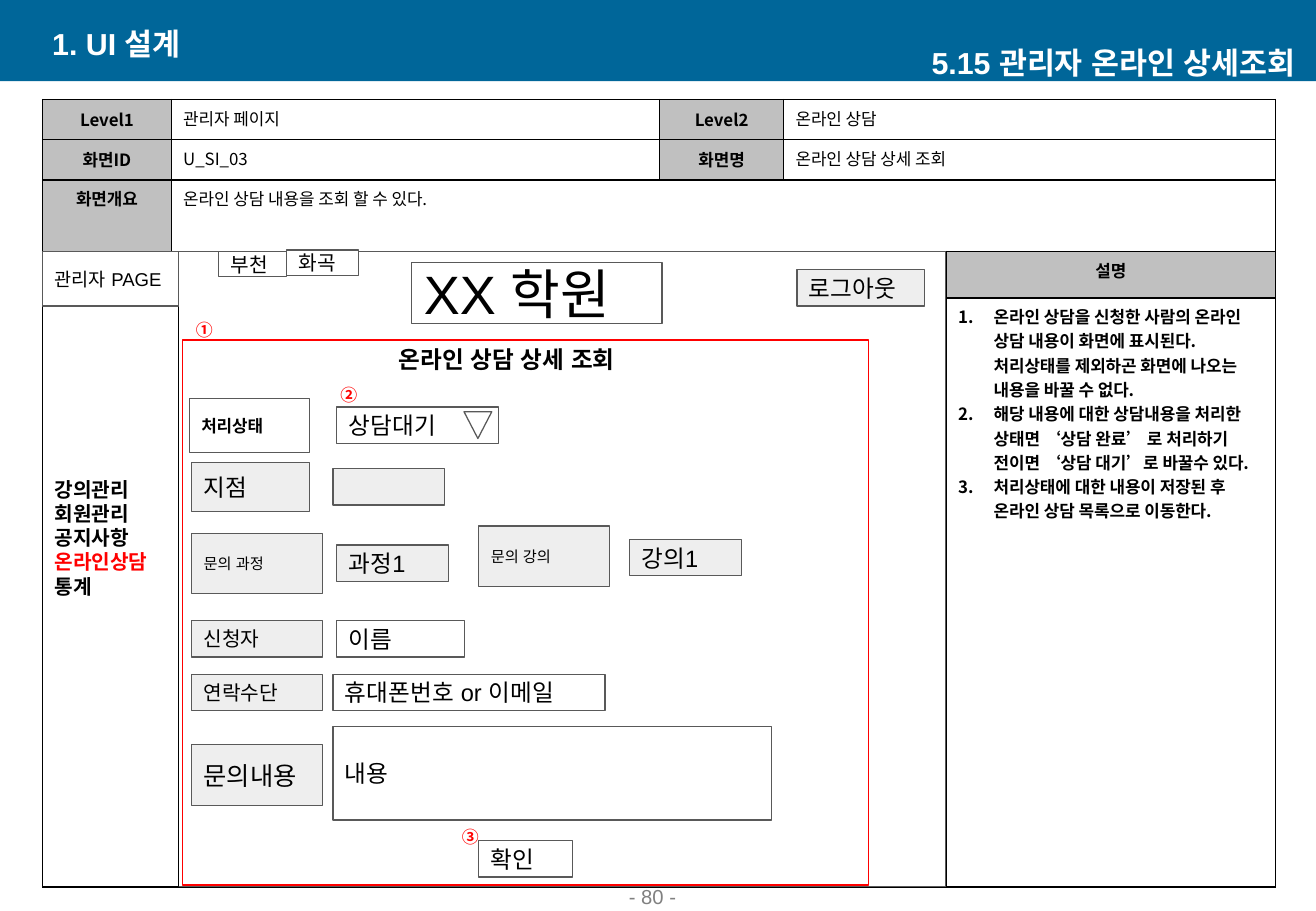
import pptx
import pptx.util
import pptx.dml.color
import pptx.enum.shapes
import pptx.enum.text
import pptx.oxml
import pptx.oxml.ns
from lxml import etree

Cm, Pt = pptx.util.Cm, pptx.util.Pt
RGB = pptx.dml.color.RGBColor.from_string
SHAPE = pptx.enum.shapes.MSO_SHAPE
ALIGN = pptx.enum.text.PP_ALIGN
ANCHOR = pptx.enum.text.MSO_ANCHOR
qn = pptx.oxml.ns.qn

COLORS = {
    "banner": "006699", "white": "FFFFFF", "black": "000000", "red": "FF0000",
    "label": "C0C0C0", "field": "EEEEEE", "outline": "595959", "page": "808080",
}
SANS, KOREAN = "Arial", "Noto Sans CJK KR"


def style_text(frame, size, font=SANS, color="black", bold=False,
               align=ALIGN.LEFT, anchor=ANCHOR.MIDDLE, inset=0.25):
    frame.word_wrap = True
    frame.vertical_anchor = anchor
    frame.margin_left = frame.margin_right = Cm(0.25)
    frame.margin_top = frame.margin_bottom = Cm(inset)
    for paragraph in frame.paragraphs:
        paragraph.alignment = align
        for run in paragraph.runs:
            run.font.size = Pt(size)
            run.font.bold = bold
            run.font.color.rgb = RGB(COLORS[color])
            run.font.name = font
            etree.SubElement(run.font._element, qn("a:ea"), typeface=font)


def add_box(left, top, width, height, fill="white", line="outline", kind=SHAPE.RECTANGLE):
    box = slide.shapes.add_shape(kind, Cm(left), Cm(top), Cm(width), Cm(height))
    box.shadow.inherit = False
    if fill:
        box.fill.solid()
        box.fill.fore_color.rgb = RGB(COLORS[fill])
    else:
        box.fill.background()
    if line:
        box.line.color.rgb = RGB(COLORS[line])
        box.line.width = Pt(0.75)
    else:
        box.line.fill.background()
    return box


deck = pptx.Presentation()
deck.slide_width, deck.slide_height = Cm(27.51), Cm(19.05)
slide = deck.slides.add_slide(deck.slide_layouts[1])
title, menu = slide.placeholders[0], slide.placeholders[1]

add_box(0, 0, 27.51, 1.7, "banner", None)

slide.shapes.element.append(title.element)
title.left, title.top, title.width, title.height = Cm(0.84), Cm(0.48), Cm(11.13), Cm(0.84)
title.text_frame.text = "1. UI 설계"
title.text_frame.auto_size = pptx.enum.text.MSO_AUTO_SIZE.NONE
style_text(title.text_frame, 18, color="white", bold=True, inset=0.13)

captions = [
    ("5.15 관리자 온라인 상세조회", 16.38, 0.89, 10.95, 0.84,
     dict(size=18, color="white", bold=True, align=ALIGN.RIGHT)),
    ("- 80 -", 10.77, 18.54, 5.74, 0.58,
     dict(size=12, color="page", align=ALIGN.CENTER, anchor=ANCHOR.BOTTOM)),
]
marker = dict(size=10, font=KOREAN, color="red", bold=True, align=ALIGN.CENTER, anchor=ANCHOR.TOP)
form_captions = [
    ("온라인 상담 상세 조회", 8.08, 6.96, 5.89, 1.12,
     dict(size=14, bold=True, anchor=ANCHOR.TOP, inset=0.25)),
    ("①", 3.84, 6.55, 0.86, 0.69, marker),
    ("②", 6.86, 7.92, 0.86, 0.69, marker),
    ("③", 9.4, 17.15, 0.86, 0.69, marker),
]

columns = [2.69, 10.21, 2.59, 3.4, 6.88]
rows = [0.84, 0.84, 1.5, 0.97, 12.32]
sheet = slide.shapes.add_table(5, 5, Cm(0.89), Cm(2.08), Cm(sum(columns)), Cm(sum(rows))).table
sheet.first_row = sheet.horz_banding = False
for column, width in zip(sheet.columns, columns):
    column.width = Cm(width)
for row, height in zip(sheet.rows, rows):
    row.height = Cm(height)
for top, left, bottom, right in [(0, 3, 0, 4), (1, 3, 1, 4), (2, 1, 2, 4), (3, 0, 4, 3)]:
    sheet.cell(top, left).merge(sheet.cell(bottom, right))

labels = {(0, 0): "Level1", (0, 2): "Level2", (1, 0): "화면ID", (1, 2): "화면명",
          (2, 0): "화면개요", (3, 4): "설명"}
values = {(0, 1): "관리자 페이지", (0, 3): "온라인 상담", (1, 1): "U_SI_03",
          (1, 3): "온라인 상담 상세 조회", (2, 1): "온라인 상담 내용을 조회 할 수 있다."}
descriptions = [
    "온라인 상담을 신청한 사람의 온라인 상담 내용이 화면에 표시된다. 처리상태를 제외하곤 화면에 나오는 내용을 바꿀 수 없다.",
    "해당 내용에 대한 상담내용을 처리한 상태면 ‘상담 완료’ 로 처리하기 전이면 ‘상담 대기’로 바꿀수 있다.",
    "처리상태에 대한 내용이 저장된 후 온라인 상담 목록으로 이동한다.",
]
for r in range(5):
    for c in range(5):
        cell = sheet.cell(r, c)
        properties = cell._tc.get_or_add_tcPr()
        for side in ("a:lnL", "a:lnR", "a:lnT", "a:lnB"):
            border = etree.SubElement(properties, qn(side), w=str(Pt(1)))
            ink = etree.SubElement(border, qn("a:solidFill"))
            etree.SubElement(ink, qn("a:srgbClr"), val=COLORS["black"])
        if (r, c) in labels:
            cell.text_frame.text = labels[r, c]
            cell.fill.solid()
            cell.fill.fore_color.rgb = RGB(COLORS["label"])
            style_text(cell.text_frame, 10, KOREAN, bold=True, align=ALIGN.CENTER)
            cell.vertical_anchor = ANCHOR.MIDDLE if r < 2 else ANCHOR.TOP
        else:
            cell.fill.background()
            cell.text_frame.text = values.get((r, c), "")
            style_text(cell.text_frame, 10, KOREAN, anchor=ANCHOR.TOP)
        cell.margin_left = cell.margin_right = Cm(0.25)
        cell.margin_top = cell.margin_bottom = Cm(0.13)

notes = sheet.cell(4, 4).text_frame
notes.text = "\n".join(descriptions)
for paragraph in notes.paragraphs:
    settings = paragraph._p.get_or_add_pPr()
    settings.set("marL", str(Cm(0.74)))
    settings.set("indent", str(-Cm(0.74)))
    etree.SubElement(settings, qn("a:buFont"), typeface=KOREAN)
    etree.SubElement(settings, qn("a:buAutoNum"), type="arabicPeriod")
style_text(notes, 10, KOREAN, bold=True, anchor=ANCHOR.TOP, inset=0.13)

add_box(0.94, 5.26, 18.82, 13.28)

slide.shapes.element.append(menu.element)
menu.left, menu.top, menu.width, menu.height = Cm(0.89), Cm(5.26), Cm(2.84), Cm(13.28)
menu.fill.solid()
menu.fill.fore_color.rgb = RGB(COLORS["white"])
menu.line.color.rgb = RGB(COLORS["black"])
menu.line.width = Pt(0.75)
menu.text_frame.text = "강의관리\n회원관리\n공지사항\n온라인상담\n통계"
menu.text_frame.auto_size = pptx.enum.text.MSO_AUTO_SIZE.NONE
for paragraph in menu.text_frame.paragraphs:
    settings = paragraph._p.get_or_add_pPr()
    settings.set("marL", "0")
    settings.set("indent", "0")
    etree.SubElement(settings, qn("a:buNone"))
    paragraph.space_before = Pt(0)
    paragraph.line_spacing = Pt(14.4)
style_text(menu.text_frame, 12, bold=True)
menu.text_frame.margin_bottom = Cm(1.57)
menu.text_frame.paragraphs[3].runs[0].font.color.rgb = RGB(COLORS["red"])

form_boxes = [
    ("관리자 PAGE", 0.89, 5.26, 2.84, 1.14, "white", 11),
    ("부천", 4.57, 5.26, 1.42, 0.53, "white", 12),
    ("화곡", 5.99, 5.23, 1.5, 0.53, "white", 12),
    ("XX 학원", 8.61, 5.49, 5.23, 1.27, "white", 32),
    ("로그아웃", 16.66, 5.64, 2.67, 0.76, "field", 14),
    ("처리상태", 3.96, 8.33, 2.51, 1.14, "white", 10),
    ("상담대기", 7.04, 8.51, 3.38, 0.76, "white", 14),
    ("지점", 4.01, 9.68, 2.46, 1.02, "field", 14),
    ("", 6.96, 9.8, 2.34, 0.76, "field", 14),
    ("문의 과정", 4.01, 11.15, 2.74, 1.27, "field", 9),
    ("과정1", 7.04, 11.4, 2.34, 0.76, "field", 14),
    ("문의 강의", 10.01, 11, 2.74, 1.27, "field", 9),
    ("강의1", 13.16, 11.28, 2.34, 0.76, "field", 14),
    ("신청자", 4.01, 12.98, 2.74, 0.76, "field", 12),
    ("이름", 7.04, 12.98, 2.67, 0.76, "white", 14),
    ("연락수단", 4.01, 14.1, 2.74, 0.76, "field", 12),
    ("휴대폰번호 or 이메일", 6.96, 14.1, 5.69, 0.76, "white", 14),
    ("문의내용", 4.01, 15.57, 2.74, 1.27, "field", 15),
    ("내용", 6.96, 15.19, 9.17, 1.96, "white", 14),
    ("확인", 10.01, 17.58, 1.96, 0.76, "white", 14),
]
for text, left, top, width, height, fill, size in form_boxes:
    form_box = add_box(left, top, width, height, fill)
    form_box.text_frame.text = text
    style_text(form_box.text_frame, size, bold=text == "처리상태")

dropdown_arrow = add_box(9.7, 8.61, 0.58, 0.56, kind=SHAPE.ISOSCELES_TRIANGLE)
dropdown_arrow.rotation = 180
add_box(3.81, 7.11, 14.35, 11.4, None, "red")

for text, left, top, width, height, style in captions + form_captions:
    caption = slide.shapes.add_textbox(Cm(left), Cm(top), Cm(width), Cm(height))
    caption.text_frame.text = text
    style_text(caption.text_frame, **{"inset": 0.13, **style})

deck.save("out.pptx")
